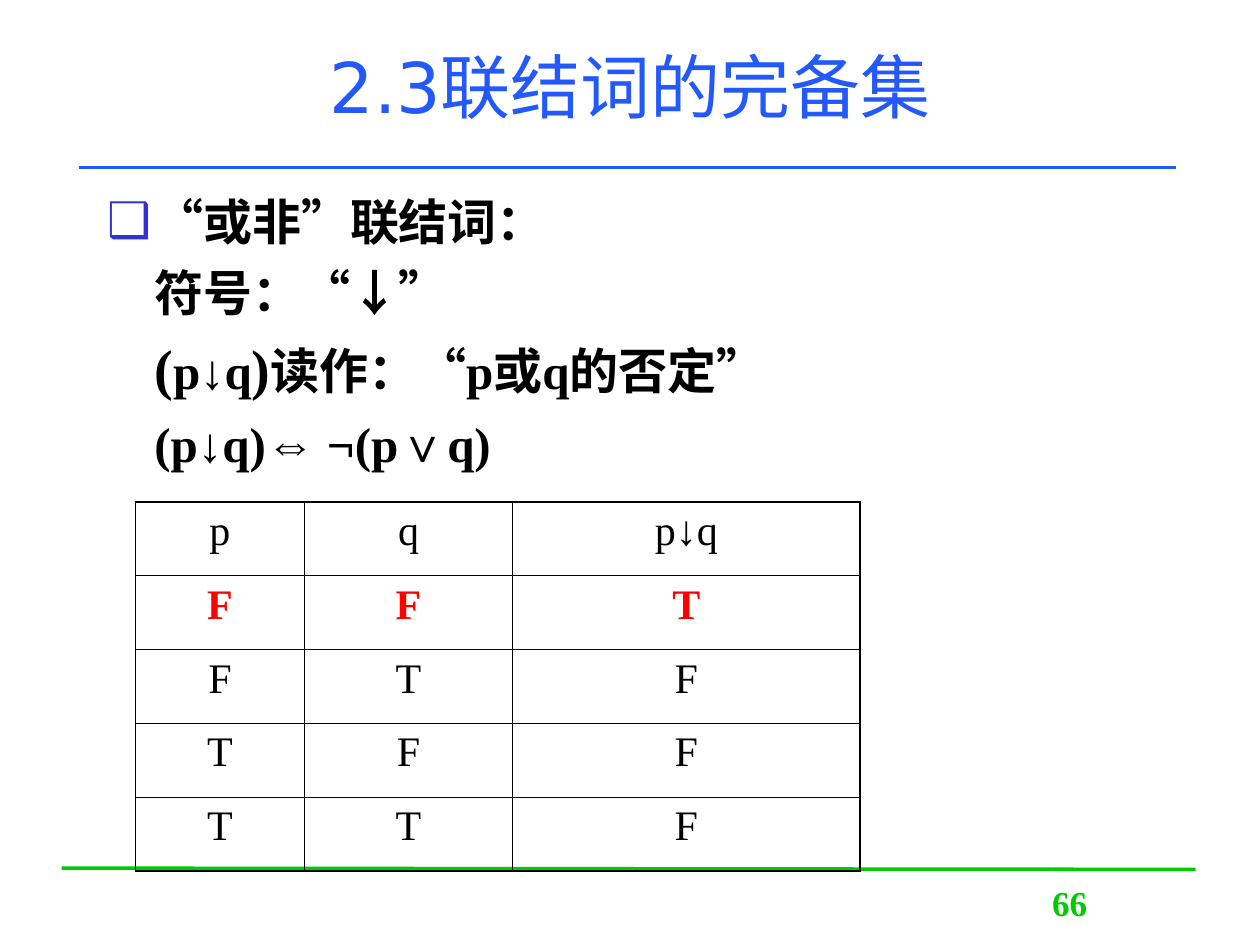
import dataclasses

import lxml.etree
import pptx
import pptx.dml.color
import pptx.enum.shapes
import pptx.enum.text
import pptx.oxml
import pptx.oxml.ns
import pptx.util

Pt = pptx.util.Pt
ALIGN = pptx.enum.text.PP_ALIGN


@dataclasses.dataclass
class Theme:
    blue: str = "2359FB"
    green: str = "00CB00"
    bullet: str = "3333CC"
    black: str = "000000"
    red: str = "FF0000"
    title_size: int = 40
    body_size: int = 28
    bracket_size: int = 32
    table_size: int = 24
    number_size: int = 20
    title_font: str = "DejaVu Sans"
    body_font: str = "Times New Roman"
    symbol_font: str = "Arial"


theme = Theme()


def write(paragraph, text, size=theme.body_size, color=theme.black,
          font=theme.body_font, bold=True, align=ALIGN.LEFT, before=7):
    paragraph.alignment = align
    paragraph.space_before = Pt(before)
    run = paragraph.add_run()
    run.text = text
    run.font.size = Pt(size)
    run.font.name = font
    run.font.bold = bold
    run.font.color.rgb = pptx.dml.color.RGBColor.from_string(color)


def add_child(parent, tag, **attributes):
    child = lxml.etree.SubElement(parent, pptx.oxml.ns.qn(tag))
    for key, value in attributes.items():
        child.set(key, str(value))
    return child


deck = pptx.Presentation()
deck.slide_width, deck.slide_height = Pt(720), Pt(540)
slide = deck.slides.add_slide(deck.slide_layouts[1])
title, body = slide.placeholders

title.left, title.top, title.width, title.height = Pt(54), Pt(3.6), Pt(612), Pt(90)
title.text_frame.vertical_anchor = pptx.enum.text.MSO_ANCHOR.MIDDLE
title.text_frame.auto_size = pptx.enum.text.MSO_AUTO_SIZE.NONE
write(title.text_frame.paragraphs[0], "2.3联结词的完备集", size=theme.title_size,
      color=theme.blue, font=theme.title_font, bold=False, align=ALIGN.CENTER, before=0)

body.left, body.top, body.width, body.height = Pt(54), Pt(105.84), Pt(612), Pt(385.2)
body.text_frame.auto_size = pptx.enum.text.MSO_AUTO_SIZE.NONE
bracket = {"size": theme.bracket_size}
statements = [
    [("“或非”联结词：", {})],
    [("符号：“↓”", {})],
    [("(", bracket), ("p↓q", {}), (")", bracket), ("读作：“p或q的否定”", {})],
    [("(p↓q)", {}), ("⇔", {"font": theme.symbol_font}), (" ¬(p∨q)", {})],
]
for index, statement in enumerate(statements):
    paragraph = body.text_frame.paragraphs[0] if index == 0 else body.text_frame.add_paragraph()
    for text, style in statement:
        write(paragraph, text, **style)
    properties = paragraph._p.get_or_add_pPr()
    properties.set("marL", str(Pt(27)))
    properties.set("indent", str(Pt(-27) if index == 0 else 0))
    if index == 0:
        add_child(add_child(properties, "a:buClr"), "a:srgbClr", val=theme.bullet)
        add_child(properties, "a:buChar", char="❑")
    else:
        add_child(properties, "a:buNone")

rules = [
    (35.28, 496.08, 683.28, 496.8, theme.green),
    (45.36, 95.76, 671.76, 95.76, theme.blue),
]
for x1, y1, x2, y2, color in rules:
    rule = slide.shapes.add_connector(
        pptx.enum.shapes.MSO_CONNECTOR.STRAIGHT, Pt(x1), Pt(y1), Pt(x2), Pt(y2))
    rule.line.width = Pt(2)
    rule.line.color.rgb = pptx.dml.color.RGBColor.from_string(color)
    add_child(rule._element.spPr, "a:effectLst")

page_number = slide.shapes.add_textbox(Pt(554.4), Pt(500.4), Pt(113.76), Pt(36))
page_number.text_frame.word_wrap = True
write(page_number.text_frame.paragraphs[0], "66", size=theme.number_size,
      color=theme.green, align=ALIGN.CENTER, before=12.5)

truth_rows = ["p q p↓q", "F F T", "F T F", "T F F", "T T F"]
column_widths = [96.6, 118.9, 198.7]
row_height = 42.2
true_row = 1
last_row, last_column = len(truth_rows) - 1, len(column_widths) - 1
truth_table = slide.shapes.add_table(
    len(truth_rows), len(column_widths), Pt(77.4), Pt(286.7),
    Pt(sum(column_widths)), Pt(row_height * len(truth_rows))).table
truth_table.first_row = False
truth_table.horz_banding = False
for column, width in zip(truth_table.columns, column_widths):
    column.width = Pt(width)
for r, values in enumerate(truth_rows):
    truth_table.rows[r].height = Pt(row_height)
    for c, value in enumerate(values.split()):
        cell = truth_table.cell(r, c)
        write(cell.text_frame.paragraphs[0], value, size=theme.table_size,
              color=theme.red if r == true_row else theme.black,
              bold=r == true_row, align=ALIGN.CENTER, before=6)
        outer_edges = {"a:lnL": c == 0, "a:lnR": c == last_column,
                       "a:lnT": r == 0, "a:lnB": r == last_row}
        for tag, outer in outer_edges.items():
            border = add_child(cell._tc.get_or_add_tcPr(), tag, w=Pt(1.08 if outer else 0.45))
            add_child(add_child(border, "a:solidFill"), "a:srgbClr", val=theme.black)
        cell.fill.background()

deck.save("out.pptx")
